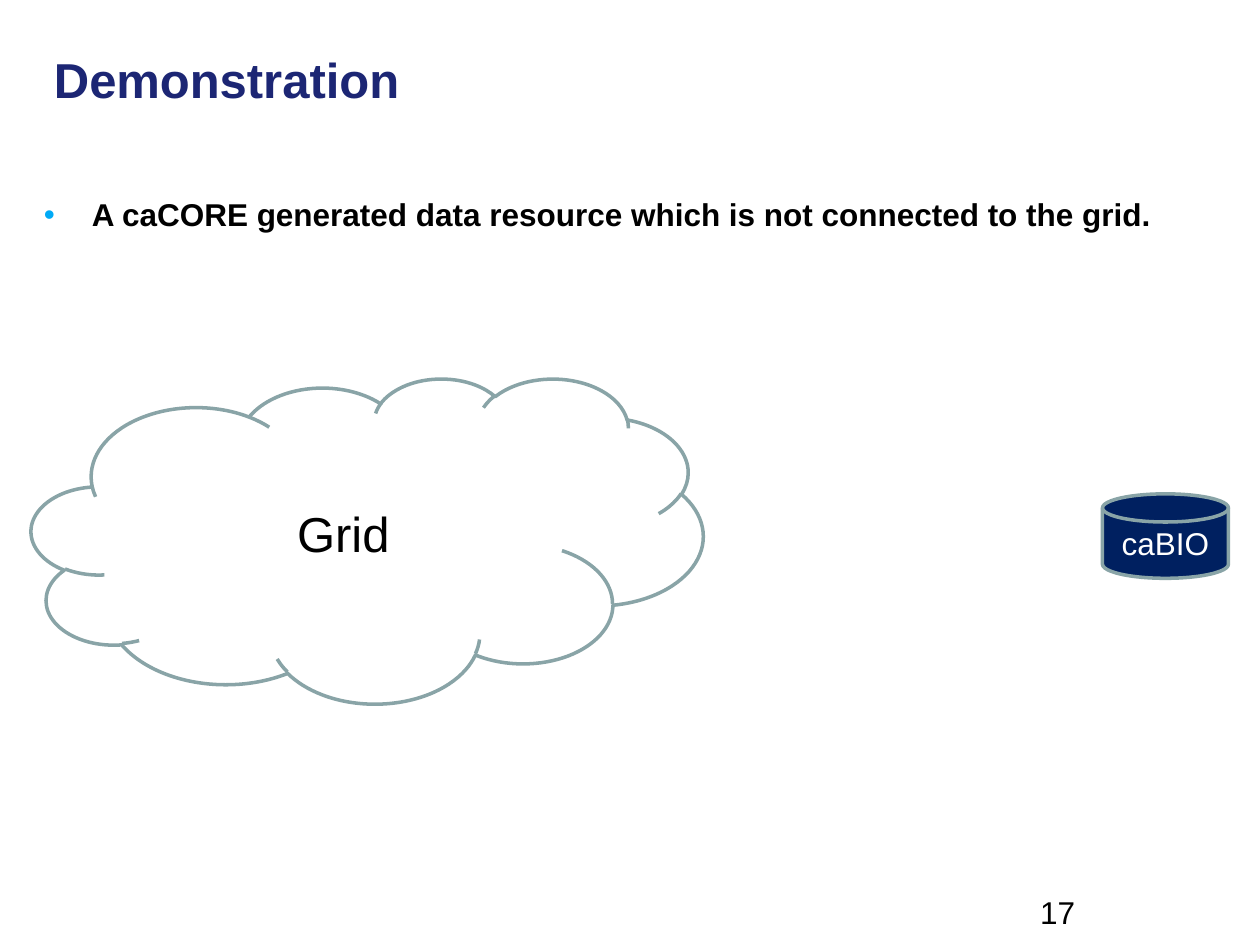
"""Build the Demonstration slide: a grid cloud and an unconnected data store."""
from lxml.etree import SubElement
from pptx import Presentation
from pptx.dml.color import RGBColor
from pptx.enum.shapes import MSO_SHAPE as Kind
from pptx.enum.text import MSO_ANCHOR as Anchor, PP_ALIGN as Align
from pptx.oxml.ns import qn
from pptx.util import Inches, Pt


def tint(code):
    return RGBColor.from_string(code)


def write(shape, text, size, color, bold=False, align=Align.CENTER, anchor=Anchor.MIDDLE):
    frame = shape.text_frame
    look = {"word_wrap": True, "vertical_anchor": anchor,
            "margin_left": Inches(0.1), "margin_right": Inches(0.1),
            "margin_top": Inches(0.05), "margin_bottom": Inches(0.05)}
    for key, value in look.items():
        setattr(frame, key, value)
    para = frame.paragraphs[0]
    para.alignment = align
    run = para.add_run()
    run.text = text
    for key, value in {"name": "Arial", "size": Pt(size), "bold": bold}.items():
        setattr(run.font, key, value)
    run.font.color.rgb = tint(color)
    return para


deck = Presentation()
deck.slide_width, deck.slide_height = Inches(10), Inches(7.5)
slide = deck.slides.add_slide(deck.slide_layouts[6])

labels = [
    ((8.06, 7.04, 0.67, 0.4), "17", 18, "000000", False, Align.CENTER, Anchor.TOP),
    ((0.33, 0, 7.5, 1.25), "Demonstration", 28, "1C2674", True, Align.LEFT, Anchor.MIDDLE),
    ((0.25, 1.5, 9.25, 5.42),
     "A caCORE generated data resource which is not connected to the grid.",
     18, "000000", True, Align.LEFT, Anchor.TOP),
]
for place, *style in labels:
    box = slide.shapes.add_textbox(*map(Inches, place))
    para = write(box, *style)

props = para._p.get_or_add_pPr()
props.set("marL", str(Inches(0.38)))
props.set("indent", str(-Inches(0.38)))
hue = SubElement(props, qn("a:buClr"))
SubElement(hue, qn("a:srgbClr"), val="00AAF6")
SubElement(props, qn("a:buFont"), typeface="Arial")
SubElement(props, qn("a:buChar"), char="•")

nodes = [
    (Kind.FLOWCHART_MAGNETIC_DISK, (8.75, 3.92, 1, 0.67), "002060", "caBIO", 18, "FFFFFF"),
    (Kind.CLOUD, (0.25, 3, 5.33, 2.58), None, "Grid", 28, "000000"),
]
for kind, place, fill, *style in nodes:
    node = slide.shapes.add_shape(kind, *map(Inches, place))
    node.shadow.inherit = False
    if fill:
        node.fill.solid()
        node.fill.fore_color.rgb = tint(fill)
    else:
        node.fill.background()
    node.line.color.rgb = tint("89A4A7")
    node.line.width = Pt(2)
    write(node, *style)

deck.save("out.pptx")
